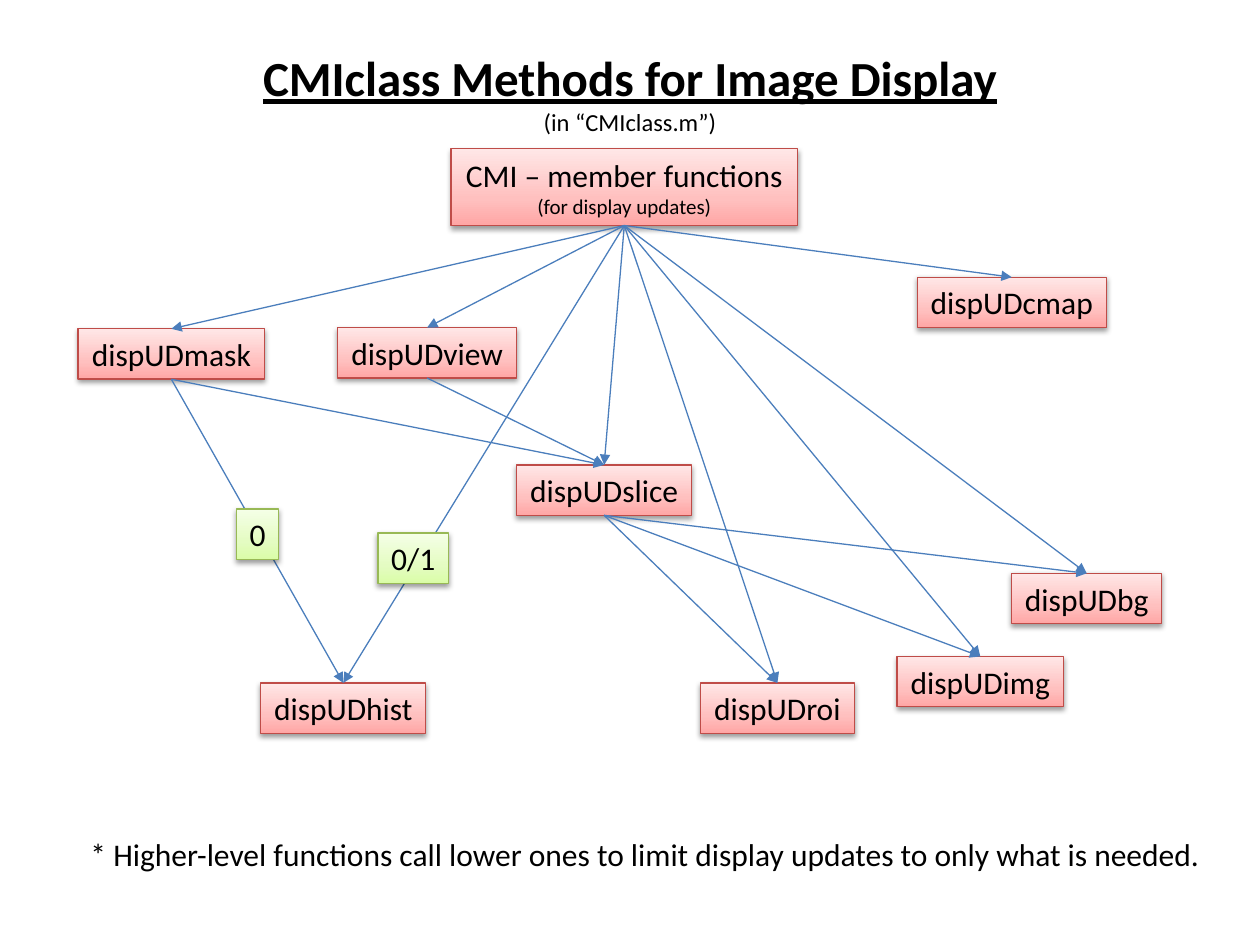
from lxml import etree
from pptx import Presentation
from pptx import util as u
from pptx.dml.color import RGBColor
from pptx.enum import shapes, text
from pptx.oxml import ns

BLACK = RGBColor(0x00, 0x00, 0x00)
BLUE = RGBColor(0x4B, 0x7E, 0xBC)
RED = RGBColor(0xBF, 0x4C, 0x48)
GREEN = RGBColor(0x98, 0xB9, 0x55)
REDS = [RGBColor(0xFF, 0xA6, 0xA5), RGBColor(0xFF, 0xC0, 0xBF), RGBColor(0xFF, 0xE7, 0xE7)]
GREENS = [RGBColor(0xDA, 0xFD, 0xA7), RGBColor(0xE4, 0xFC, 0xC2), RGBColor(0xF5, 0xFF, 0xE7)]
STOPS = [0, 35, 100]
BOTTOM, TOP = 2, 0
ROW = 0.4

METHODS = {
    "dispUDbg": (8.03, 4.55, 1.19),
    "dispUDroi": (5.56, 5.42, 1.22),
    "dispUDslice": (4.1, 3.69, 1.39),
    "dispUDview": (2.68, 2.6, 1.42),
    "dispUDimg": (7.12, 5.21, 1.32),
    "dispUDcmap": (7.28, 2.2, 1.5),
    "dispUDmask": (0.62, 2.61, 1.48),
    "dispUDhist": (2.07, 5.42, 1.31),
}
CALLS = {
    "CMI": list(METHODS),
    "dispUDslice": ["dispUDimg", "dispUDbg", "dispUDroi"],
    "dispUDview": ["dispUDslice"],
    "dispUDmask": ["dispUDslice", "dispUDhist"],
}
FLAGS = {"0": (1.88, 4.04, 0.33), "0/1": (3, 4.23, 0.56)}


def add_xml(parent, tag, **attributes):
    return etree.SubElement(parent, ns.qn(tag), attributes)


class Diagram:
    font_format = {"name": "Calibri", "size": u.Pt(18), "bold": False, "underline": False}
    frame_format = {"word_wrap": False, "auto_size": text.MSO_AUTO_SIZE.SHAPE_TO_FIT_TEXT}

    def __init__(self, slide):
        self.slide = slide

    def add_lines(self, frame, lines, align):
        for name, value in self.frame_format.items():
            setattr(frame, name, value)
        for index, (wording, changes) in enumerate(lines):
            paragraph = frame.add_paragraph() if index else frame.paragraphs[0]
            paragraph.alignment = align
            run = paragraph.add_run()
            run.text = wording
            for name, value in {**self.font_format, **changes}.items():
                setattr(run.font, name, value)
            run.font.color.rgb = BLACK

    def caption(self, place, lines, align):
        caption = self.slide.shapes.add_textbox(*map(u.Inches, place))
        self.add_lines(caption.text_frame, lines, align)

    def box(self, place, lines, tints, outline):
        box = self.slide.shapes.add_shape(shapes.MSO_SHAPE.RECTANGLE, *map(u.Inches, place))
        box.line.color.rgb = outline
        box.line.width = u.Pt(0.75)
        self.shade(box, tints)
        self.drop_shadow(box)
        self.add_lines(box.text_frame, lines, text.PP_ALIGN.CENTER)
        return box

    def shade(self, box, tints):
        box.fill.gradient()
        box.fill.gradient_angle = 90
        stops = box._element.spPr.find(".//" + ns.qn("a:gsLst"))
        for stop in list(stops):
            stops.remove(stop)
        for position, tint in zip(STOPS, tints):
            stop = add_xml(stops, "a:gs", pos=str(position * 1000))
            add_xml(stop, "a:srgbClr", val=str(tint))

    def drop_shadow(self, box):
        box.shadow.inherit = False
        effects = box._element.spPr.find(ns.qn("a:effectLst"))
        shadow = add_xml(effects, "a:outerShdw", blurRad=str(u.Pt(3.1)), dist=str(u.Pt(1.6)),
                         dir="5400000", rotWithShape="0")
        color = add_xml(shadow, "a:srgbClr", val=str(BLACK))
        add_xml(color, "a:alpha", val="38000")

    def arrow(self, caller, called):
        arrow = self.slide.shapes.add_connector(shapes.MSO_CONNECTOR.STRAIGHT, 0, 0, 0, 0)
        arrow.begin_connect(caller, BOTTOM)
        arrow.end_connect(called, TOP)
        arrow.line.color.rgb = BLUE
        arrow.line.width = u.Pt(0.75)
        outline = arrow._element.spPr.find(ns.qn("a:ln"))
        add_xml(outline, "a:tailEnd", type="triangle")
        add_xml(arrow._element.spPr, "a:effectLst")


def main():
    deck = Presentation()
    deck.slide_width, deck.slide_height = u.Inches(10), u.Inches(7.5)
    diagram = Diagram(deck.slides.add_slide(deck.slide_layouts[6]))

    heading = [("CMI – member functions", {}), ("(for display updates)", {"size": u.Pt(12)})]
    boxes = {"CMI": diagram.box((3.58, 1.18, 2.75, 0.61), heading, REDS, RED)}
    for method, place in METHODS.items():
        boxes[method] = diagram.box((*place, ROW), [(method, {})], REDS, RED)
    for caller, callees in CALLS.items():
        for called in callees:
            diagram.arrow(boxes[caller], boxes[called])
    for flag, place in FLAGS.items():
        diagram.box((*place, ROW), [(flag, {})], GREENS, GREEN)

    title = [
        ("CMIclass Methods for Image Display", {"size": u.Pt(28), "bold": True, "underline": True}),
        ("(in “CMIclass.m”)", {"size": u.Pt(14)}),
    ]
    diagram.caption((1.95, 0.33, 6.1, 0.81), title, text.PP_ALIGN.CENTER)
    note = "* Higher-level functions call lower ones to limit display updates to only what is needed."
    diagram.caption((0.62, 6.58, 9.07, ROW), [(note, {})], text.PP_ALIGN.LEFT)
    deck.save("out.pptx")


if __name__ == "__main__":
    main()
